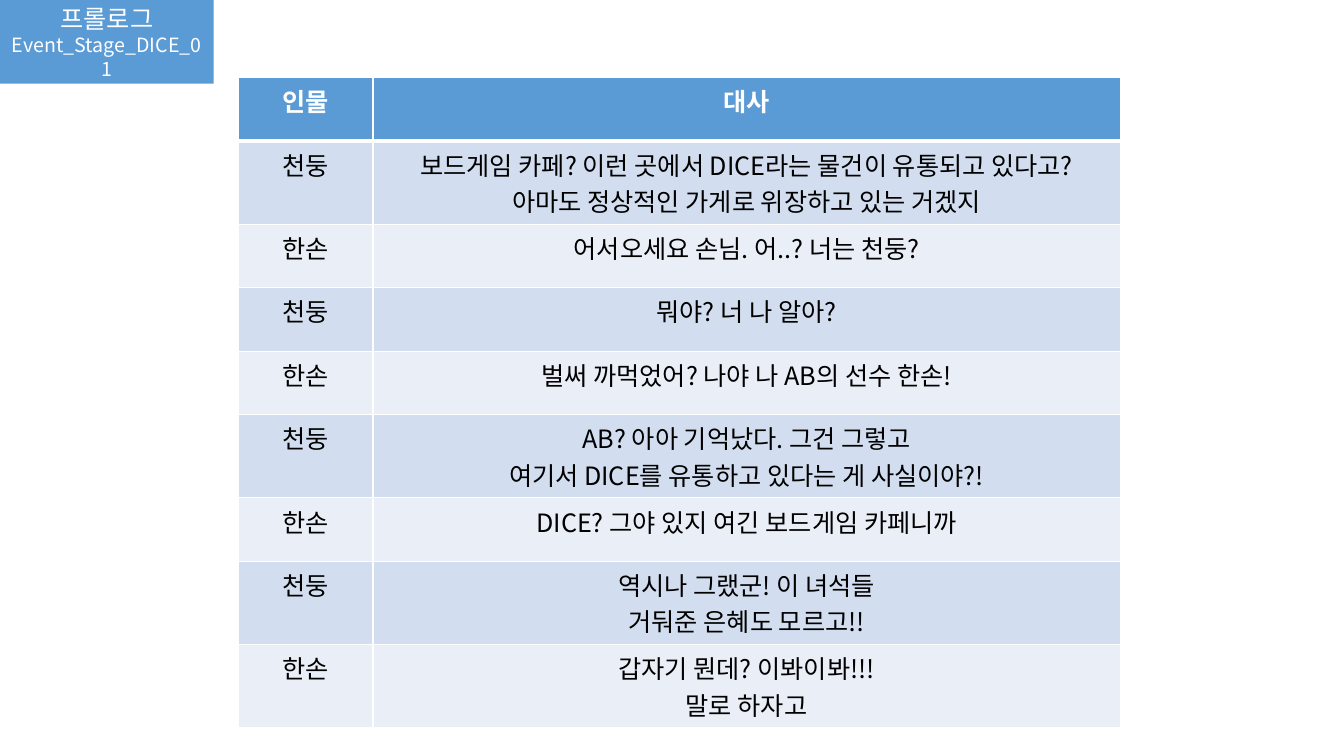
import pptx
import pptx.util
import pptx.dml.color
import pptx.enum.shapes
import pptx.enum.text
import pptx.oxml
import pptx.oxml.ns
from lxml import etree

Inches, Pt = pptx.util.Inches, pptx.util.Pt
RGB = pptx.dml.color.RGBColor

WHITE = RGB(0xFF, 0xFF, 0xFF)
BLACK = RGB(0, 0, 0)
BLUE = RGB(0x5B, 0x9B, 0xD5)
BANDS = (RGB(0xD2, 0xDE, 0xEF), RGB(0xEA, 0xEF, 0xF7))
FONT = "Noto Sans CJK KR"

# Grid of the table, in inches
LEFT, TOP = 2.36, 0.77
COLS = (1.34, 7.41)
ROW = 0.63

HEAD = ("인물", "대사")
CAST = ("천둥", "한손")  # the two take turns
LINES = (
    ("보드게임 카페? 이런 곳에서 DICE라는 물건이 유통되고 있다고?",
     "아마도 정상적인 가게로 위장하고 있는 거겠지"),
    ("어서오세요 손님. 어..? 너는 천둥?",),
    ("뭐야? 너 나 알아?",),
    ("벌써 까먹었어? 나야 나 AB의 선수 한손!",),
    ("AB? 아아 기억났다. 그건 그렇고",
     "여기서 DICE를 유통하고 있다는 게 사실이야?!"),
    ("DICE? 그야 있지 여긴 보드게임 카페니까",),
    ("역시나 그랬군! 이 녀석들", "거둬준 은혜도 모르고!!"),
    ("갑자기 뭔데? 이봐이봐!!!", "말로 하자고"),
)


def write(frame, texts, color, sizes=(18, 18), bold=False):
    """Fill a text frame with centred paragraphs."""
    for i, (text, size) in enumerate(zip(texts, sizes)):
        para = frame.paragraphs[0] if i == 0 else frame.add_paragraph()
        para.text = text
        para.alignment = pptx.enum.text.PP_ALIGN.CENTER
        font = para.font
        font.size, font.bold, font.name = Pt(size), bold, FONT
        font.color.rgb = color
        # East Asian typeface for the Korean letters
        east = etree.SubElement(para._p.pPr.find(pptx.oxml.ns.qn("a:defRPr")),
                                pptx.oxml.ns.qn("a:ea"))
        east.set("typeface", FONT)


def edge(cell, side, width):
    """Draw one white border of a cell."""
    line = pptx.oxml.parse_xml(
        f'<a:ln{side} {pptx.oxml.ns.nsdecls("a")} w="{Pt(width)}">'
        f'<a:solidFill><a:srgbClr val="{WHITE}"/></a:solidFill></a:ln{side}>')
    cell._tc.get_or_add_tcPr().append(line)


def paint(cell, row, texts):
    """Set the borders, fill and text of a cell."""
    head = row == 0
    for side in "LRTB":
        thick = (row, side) in ((0, "B"), (1, "T"))
        edge(cell, side, 3 if thick else 1)
    cell.fill.solid()
    cell.fill.fore_color.rgb = BLUE if head else BANDS[(row - 1) % 2]
    write(cell.text_frame, texts, WHITE if head else BLACK, bold=head)


def script(slide):
    """Add the table of speakers and lines."""
    rows = [[(name,) for name in HEAD]]
    rows += [[(CAST[i % 2],), says] for i, says in enumerate(LINES)]
    table = slide.shapes.add_table(
        len(rows), len(COLS), Inches(LEFT), Inches(TOP),
        Inches(sum(COLS)), Inches(ROW * len(rows))).table
    for col, width in zip(table.columns, COLS):
        col.width = Inches(width)
    for r, row in enumerate(rows):
        table.rows[r].height = Inches(ROW)
        for c, texts in enumerate(row):
            paint(table.cell(r, c), r, texts)


def tag(slide, texts, sizes):
    """Add the stage label in the top left corner."""
    box = slide.shapes.add_shape(pptx.enum.shapes.MSO_SHAPE.RECTANGLE,
                                 0, 0, Inches(2.12), Inches(0.83))
    box.shadow.inherit = False
    box.fill.solid()
    box.fill.fore_color.rgb = BLUE
    box.line.fill.background()
    box.text_frame.word_wrap = True
    box.text_frame.vertical_anchor = pptx.enum.text.MSO_ANCHOR.MIDDLE
    write(box.text_frame, texts, WHITE, sizes)


def main():
    deck = pptx.Presentation()
    deck.slide_width, deck.slide_height = Inches(13.33), Inches(7.5)
    slide = deck.slides.add_slide(deck.slide_layouts[6])
    script(slide)
    tag(slide, ("프롤로그", "Event_Stage_DICE_01"), (18, 14))
    deck.save("out.pptx")


if __name__ == "__main__":
    main()
